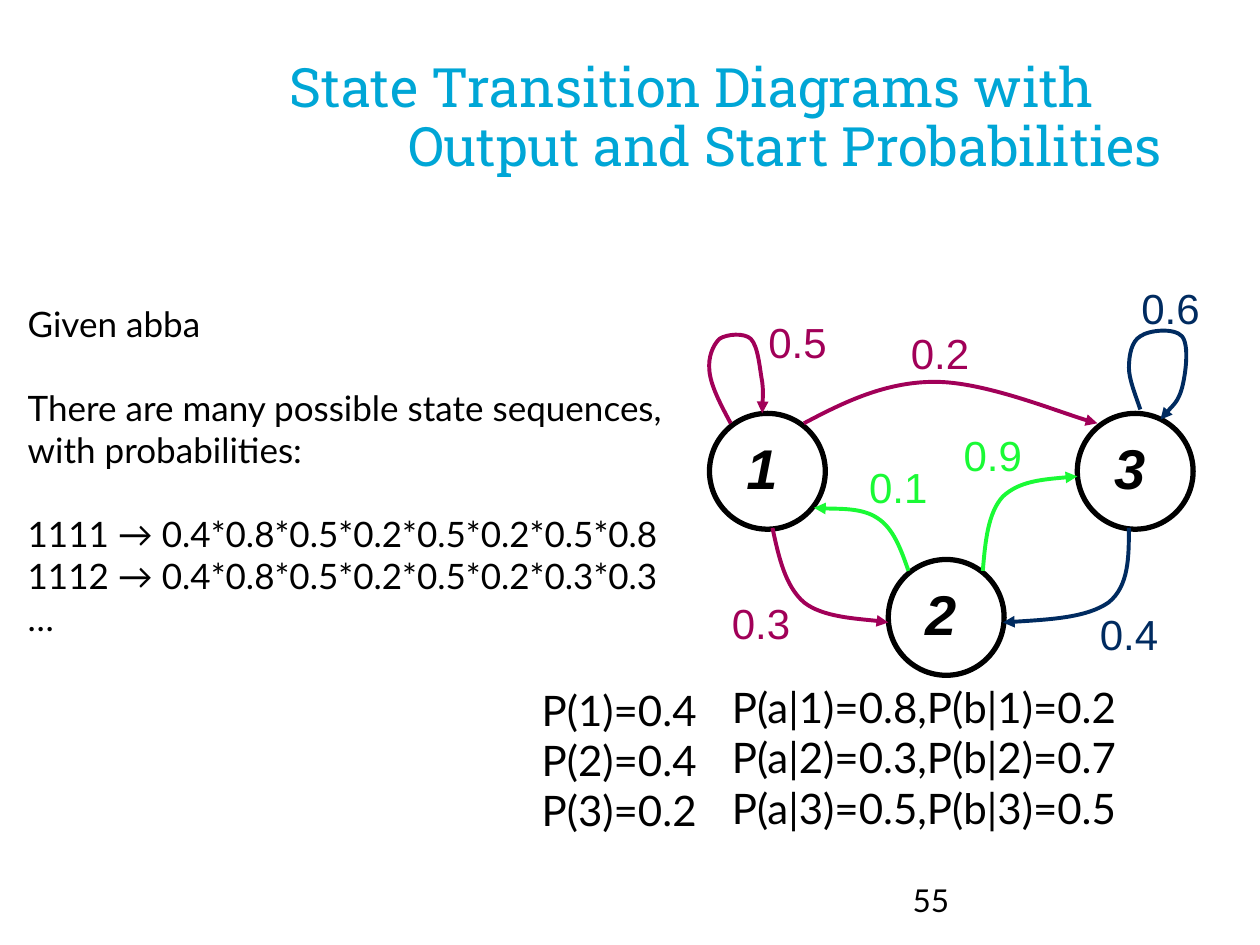
from lxml.etree import SubElement
from pptx import Presentation
from pptx.dml.color import RGBColor as RGB
from pptx.enum.shapes import MSO_SHAPE as SHAPE
from pptx.enum.text import MSO_ANCHOR as ANCHOR, MSO_AUTO_SIZE as AUTO, PP_ALIGN as ALIGN
from pptx.oxml.ns import qn
from pptx.util import Pt

COLORS = {"black": "000000", "white": "FFFFFF", "title": "00A6D6",
          "one": "A10058", "two": "1AFA35", "three": "002B60"}
DIAMETER = 66.2


class Slide:
    heading, body, label = "Roboto Slab", "Lato", "Arial"

    def __init__(self, prs):
        self.s = prs.slides.add_slide(prs.slide_layouts[1])

    def color(self, name):
        return RGB.from_string(COLORS[name])

    def place(self, sp, x, y, w, h):
        sp.left, sp.top, sp.width, sp.height = Pt(x), Pt(y), Pt(w), Pt(h)

    def run(self, p, text, size, font, color="black", strong=False):
        r = p.add_run()
        r.text = text
        r.font.name, r.font.size = font, Pt(size)
        r.font.bold = r.font.italic = strong
        r.font.color.rgb = self.color(color)

    def title(self, text, box, size, indent):
        sp = self.s.shapes.title
        self.place(sp, *box)
        tf = sp.text_frame
        tf.word_wrap, tf.auto_size = True, AUTO.NONE
        tf.vertical_anchor = ANCHOR.MIDDLE
        tf.margin_left = tf.margin_right = tf.margin_top = tf.margin_bottom = 0
        p = tf.paragraphs[0]
        p.alignment, p.line_spacing = ALIGN.LEFT, 0.9
        pPr = p._p.get_or_add_pPr()
        pPr.set("marL", str(Pt(indent)))
        pPr.set("indent", str(-Pt(indent)))
        self.run(p, text, size, self.heading, "title")

    def listing(self, groups, box, size, gap):
        sp = self.s.placeholders[1]
        self.place(sp, *box)
        tf = sp.text_frame
        tf.word_wrap, tf.auto_size = False, AUTO.NONE
        for g, lines in enumerate(groups):
            for i, line in enumerate(lines):
                p = tf.add_paragraph() if g or i else tf.paragraphs[0]
                pPr = p._p.get_or_add_pPr()
                pPr.set("marL", "0")
                pPr.set("indent", "0")
                p.space_before = Pt(gap if g and i == 0 else 0)
                SubElement(pPr, qn("a:buNone"))
                self.run(p, line, size, self.body)

    def text(self, lines, box, size, font, color="black", strong=False):
        sp = self.s.shapes.add_textbox(*map(Pt, box))
        tf = sp.text_frame
        tf.word_wrap = False
        for i, line in enumerate(lines):
            p = tf.add_paragraph() if i else tf.paragraphs[0]
            self.run(p, line, size, font, color, strong)

    def state(self, name, x, y):
        sp = self.s.shapes.add_shape(SHAPE.OVAL, Pt(x), Pt(y), Pt(DIAMETER), Pt(DIAMETER))
        sp.shadow.inherit = False
        sp.fill.solid()
        sp.fill.fore_color.rgb = self.color("white")
        sp.line.color.rgb = self.color("black")
        sp.line.width = Pt(3)
        self.text([name], (x + 14, y + 8, 32.4, 45.4), 32, self.label, strong=True)

    def transition(self, points, color):
        start, *rest = [(Pt(x), Pt(y)) for x, y in points]
        builder = self.s.shapes.build_freeform(*start)
        builder.add_line_segments(rest, close=False)
        sp = builder.convert_to_shape()
        sp.shadow.inherit = False
        sp.fill.background()
        sp.line.color.rgb = self.color(color)
        sp.line.width = Pt(2.25)
        SubElement(sp.line._get_or_add_ln(), qn("a:tailEnd"), type="triangle")
        outline = sp.element.xpath(".//a:path")[0]
        segments = outline.findall(qn("a:lnTo"))
        for i in range(0, len(segments), 3):
            curve = SubElement(outline, qn("a:cubicBezTo"))
            for segment in segments[i:i + 3]:
                curve.append(segment[0])
                outline.remove(segment)


STATES = [("1", 405.4, 236.2), ("3", 615.6, 236.2), ("2", 507.6, 319.7)]

TRANSITIONS = [
    ("0.5", "one", (432, 177.1),
     [(417.6, 241.9), (411.8, 231.1), (406.1, 220.3), (405.4, 211.7),
      (404.6, 203.8), (407.5, 197.3), (411.1, 193.7),
      (415.4, 190.8), (425.5, 190.1), (429.1, 193.7),
      (433.4, 198), (434.2, 211), (435.6, 218.2),
      (436.3, 224.6), (435.6, 233.3), (435.6, 236.2)]),
    ("0.2", "one", (513.4, 183.6),
     [(459.4, 241.9), (482.4, 229.7), (506.2, 218.2), (534.2, 218.2),
      (562.3, 218.2), (612, 238.3), (627.1, 241.9)]),
    ("0.3", "one", (411.1, 337.7),
     [(441.4, 301.7), (445, 318.2), (448.6, 334.8), (459.4, 344.2),
      (470.2, 352.8), (499.7, 354.2), (507.6, 355.7)]),
    ("0.1", "two", (489.6, 259.9),
     [(519.1, 326.2), (514.8, 313.9), (510.5, 301.7), (501.1, 295.9),
      (492.5, 290.2), (471.6, 290.9), (465.1, 290.2)]),
    ("0.6", "three", (645.1, 157.7),
     [(651.6, 234), (648.7, 225.4), (645.1, 216.7), (645.1, 210.2),
      (645.1, 203), (646.6, 195.1), (651.6, 192.2),
      (656.6, 188.6), (671, 187.2), (675.4, 192.2),
      (679.7, 197.3), (677.5, 213.8), (675.4, 221.8),
      (673.2, 229.7), (665.3, 236.9), (663.1, 239.8)]),
    ("0.4", "three", (621.4, 344.2),
     [(645.1, 301.7), (645.1, 318.2), (645.1, 334.8), (633.6, 344.2),
      (621.4, 352.8), (597.6, 354.2), (573.1, 355.7)]),
    ("0.9", "two", (543.6, 241.9),
     [(561.6, 326.2), (563, 309.6), (564.5, 293), (573.1, 283.7),
      (582.5, 275), (599, 273.6), (615.6, 272.2)]),
]

SEQUENCES = [
    ["Given abba"],
    ["There are many possible state sequences,", "with probabilities:"],
    ["1111 → 0.4*0.8*0.5*0.2*0.5*0.2*0.5*0.8",
     "1112 → 0.4*0.8*0.5*0.2*0.5*0.2*0.3*0.3", "…"],
]
START = ["P(1)=0.4", "P(2)=0.4", "P(3)=0.2"]
OUTPUT = ["P(a|1)=0.8,P(b|1)=0.2", "P(a|2)=0.3,P(b|2)=0.7", "P(a|3)=0.5,P(b|3)=0.5"]


def main():
    prs = Presentation()
    prs.slide_width, prs.slide_height = Pt(720), Pt(540)
    slide = Slide(prs)
    slide.title("State Transition Diagrams with Output and Start Probabilities",
                (165.6, 26.6, 554.4, 83.5), 31, 67.7)
    slide.listing(SEQUENCES, (8.6, 169.2, 392.4, 225.4), 20, 24)
    for state in STATES:
        slide.state(*state)
    for probability, color, (x, y), points in TRANSITIONS:
        slide.transition(points, color)
        slide.text([probability], (x, y, 47.5, 36), 24, slide.label, color)
    slide.text(START, (302.4, 387.4, 111.6, 94.3), 24, slide.body)
    slide.text(OUTPUT, (411.1, 385.9, 269.3, 94.3), 24, slide.body)
    slide.text(["55"], (514.4, 499.7, 167.8, 28.8), 18, slide.body)
    prs.save("out.pptx")


if __name__ == "__main__":
    main()
